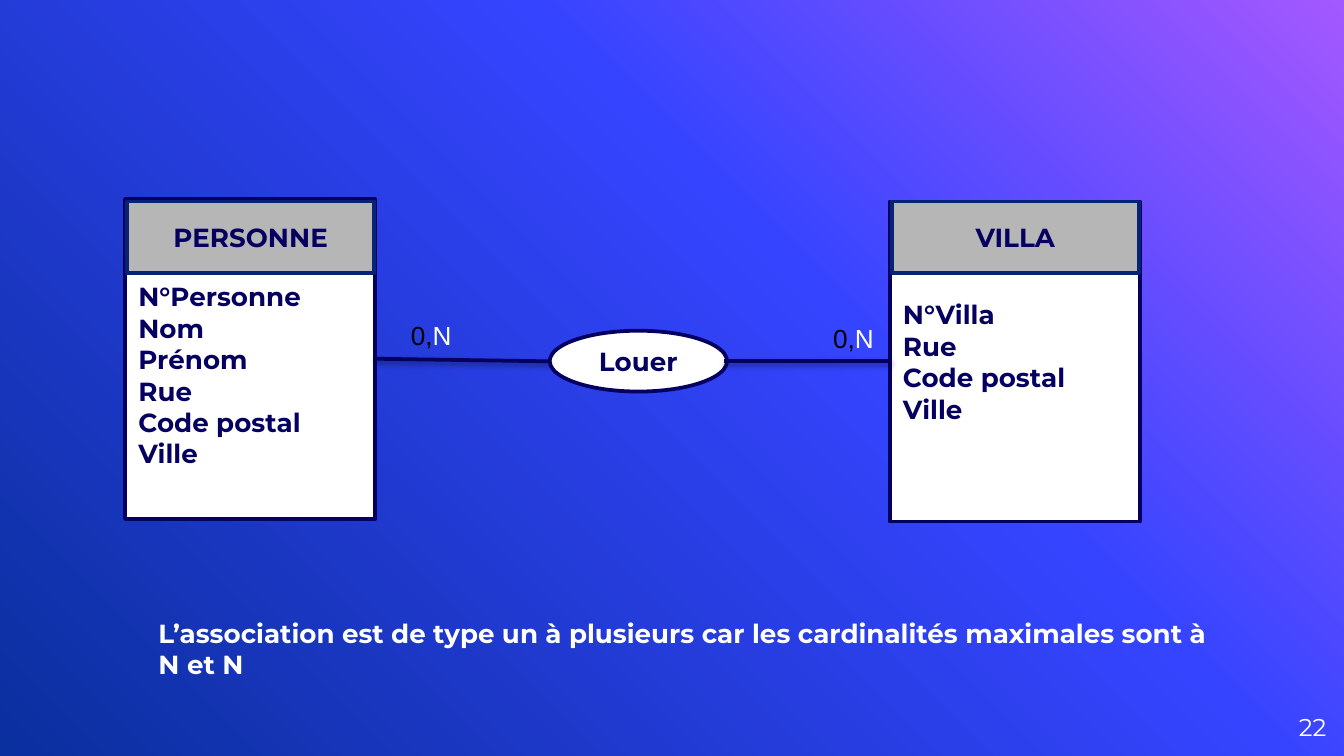
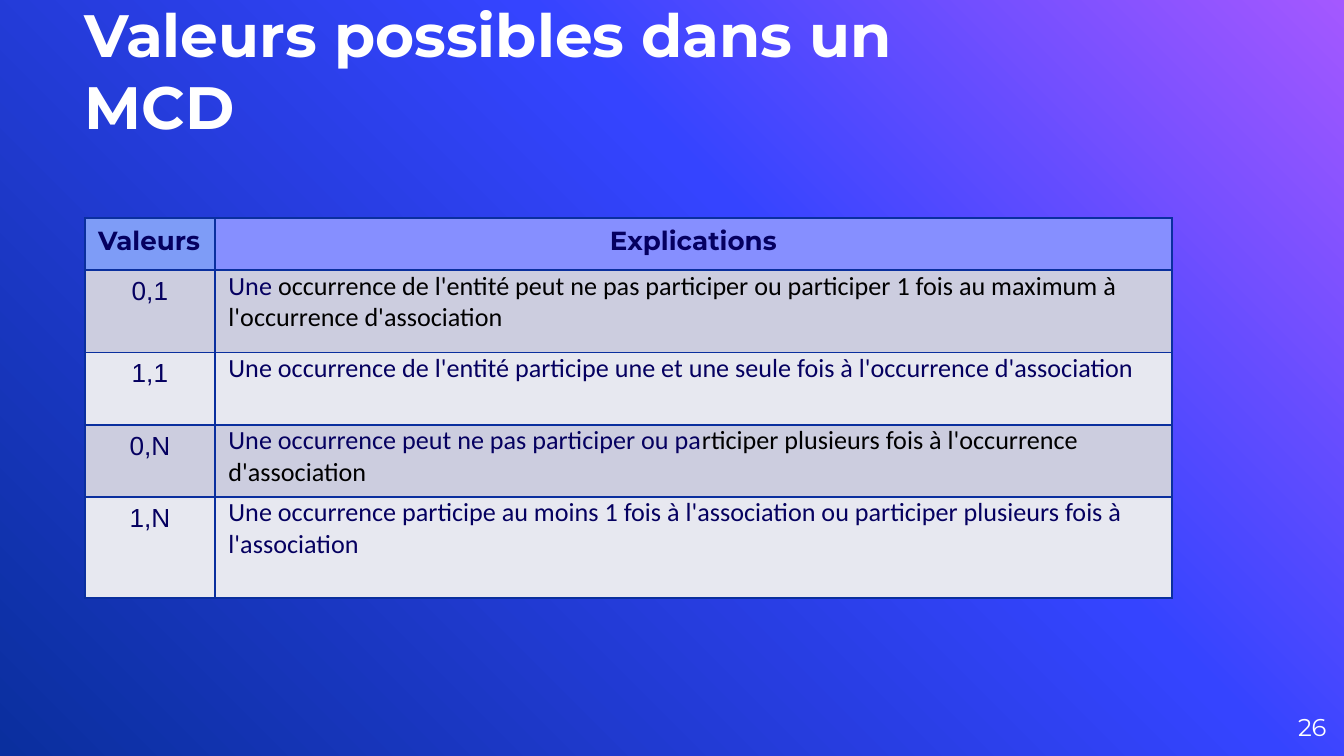
import copy

import pptx
import pptx.dml.color
import pptx.enum.shapes
import pptx.enum.text
import pptx.oxml
import pptx.oxml.ns
import pptx.util

Pt = pptx.util.Pt
qn = pptx.oxml.ns.qn
ALIGN = pptx.enum.text.PP_ALIGN
ANCHOR = pptx.enum.text.MSO_ANCHOR
SHAPE = pptx.enum.shapes.MSO_SHAPE

COLORS = {
    "purple": "A458FF",
    "blue": "3544FF",
    "deep": "0A2F9E",
    "navy": "050060",
    "header_line": "072375",
    "gray": "B6B6B6",
    "white": "FFFFFF",
    "black": "000000",
    "values_head": "7E9CF7",
    "notes_head": "868FFF",
    "band_dark": "CCCDDF",
    "band_light": "E7E8F0",
}
FONT = "Montserrat"
GRADIENT = [("purple", 0), ("blue", 0.39), ("deep", 1)]
ROW_HEIGHTS = [28, 44, 38.8, 38.8, 54]
VALUES = [
    ("0,1", [("Une ", "navy"),
             ("occurrence de l'entité peut ne pas participer ou participer "
              "1 fois au maximum à l'occurrence d'association", "black")]),
    ("1,1", "Une occurrence de l'entité participe une et une seule fois "
            "à l'occurrence d'association"),
    ("0,N", [("Une occurrence peut ne pas participer ou pa", "navy"),
             ("rticiper plusieurs fois à l'occurrence d'association", "black")]),
    ("1,N", "Une occurrence participe au moins 1 fois à l'association "
            "ou participer plusieurs fois à l'association"),
]


def rgb(name):
    return pptx.dml.color.RGBColor.from_string(COLORS[name])


def write(tf, text, size=14, font=FONT, color="navy", bold=False,
          align=ALIGN.LEFT, before=0):
    lines = text.split("\n") if isinstance(text, str) else [text]
    for i, line in enumerate(lines):
        p = tf.paragraphs[0] if i == 0 else tf.add_paragraph()
        p.alignment = align
        p.space_before = Pt(before)
        runs = [(line, color)] if isinstance(line, str) else line
        for words, run_color in runs:
            r = p.add_run()
            r.text = words
            r.font.size = Pt(size)
            r.font.name = font
            r.font.bold = bold
            r.font.color.rgb = rgb(run_color)


def set_margins(target, left, top, right, bottom):
    target.margin_left, target.margin_top = Pt(left), Pt(top)
    target.margin_right, target.margin_bottom = Pt(right), Pt(bottom)


def set_background(prs):
    master = prs.slide_master
    fill = master.background.fill
    fill.gradient()
    fill.gradient_angle = 225
    stops = next(master.element.iter(qn("a:gsLst")))
    stops.append(copy.deepcopy(stops[0]))
    for stop, (color, position) in zip(fill.gradient_stops, GRADIENT):
        stop.color.rgb = rgb(color)
        stop.position = position


def add_text(s, x, y, w, h, text, wrap=True, **fmt):
    sp = s.shapes.add_textbox(Pt(x), Pt(y), Pt(w), Pt(h))
    sp.text_frame.word_wrap = wrap
    write(sp.text_frame, text, **fmt)
    return sp.text_frame


def add_page_number(s, number):
    tf = add_text(s, 667.4, 373.7, 43.2, 31, str(number), size=13,
                  color="white", align=ALIGN.RIGHT)
    tf.vertical_anchor = ANCHOR.MIDDLE
    set_margins(tf, 0, 0, 0, 0)


def add_box(s, kind, x, y, w, h, text, fill="white", line="navy",
            align=ALIGN.CENTER, top=3.6):
    sp = s.shapes.add_shape(kind, Pt(x), Pt(y), Pt(w), Pt(h))
    sp.shadow.inherit = False
    sp.fill.solid()
    sp.fill.fore_color.rgb = rgb(fill)
    sp.line.color.rgb = rgb(line)
    sp.line.width = Pt(2)
    tf = sp.text_frame
    tf.word_wrap = True
    tf.vertical_anchor = ANCHOR.MIDDLE
    set_margins(tf, 7.2, top, 7.2, 3.6)
    write(tf, text, bold=True, align=align)


def add_entity(s, x, y, name, fields, top=3.6):
    add_box(s, SHAPE.RECTANGLE, x, y, 134, 171.4, fields, align=ALIGN.LEFT, top=top)
    add_box(s, SHAPE.RECTANGLE, x + 1.1, 108, 132.5, 38.2, name,
            fill="gray", line="header_line")


def add_link(s, x1, y1, x2, y2):
    c = s.shapes.add_connector(pptx.enum.shapes.MSO_CONNECTOR.STRAIGHT,
                               Pt(x1), Pt(y1), Pt(x2), Pt(y2))
    c.line.color.rgb = rgb("navy")
    c.line.width = Pt(2)
    c.element.spPr.append(pptx.oxml.parse_xml(
        f'<a:effectLst {pptx.oxml.ns.nsdecls("a")}>'
        f'<a:outerShdw blurRad="{Pt(3.1)}" dist="{Pt(1.6)}" dir="5400000" rotWithShape="0">'
        f'<a:srgbClr val="{COLORS["black"]}"><a:alpha val="38000"/></a:srgbClr>'
        '</a:outerShdw></a:effectLst>'))


def add_cardinality(s, x, y):
    add_text(s, x, y, 36.7, 24.5, [("0,", "black"), ("N", "white")],
             wrap=False, font="Arial")


def add_title(s, text):
    sp = s.shapes.title
    sp.left, sp.top, sp.width, sp.height = Pt(45.4), Pt(28), Pt(494.6), Pt(47.6)
    tf = sp.text_frame
    tf.word_wrap = True
    tf.auto_size = pptx.enum.text.MSO_AUTO_SIZE.NONE
    tf.vertical_anchor = ANCHOR.BOTTOM
    set_margins(tf, 0, 0, 0, 0)
    write(tf, text, size=32, color="white", bold=True)


def fill_cell(cell, text, fill, **fmt):
    cell.fill.solid()
    cell.fill.fore_color.rgb = rgb(fill)
    write(cell.text_frame, text, **fmt)
    tc_pr = cell._tc.get_or_add_tcPr()
    for i, side in enumerate(("lnL", "lnR", "lnT", "lnB")):
        tc_pr.insert(i, pptx.oxml.parse_xml(
            f'<a:{side} {pptx.oxml.ns.nsdecls("a")} w="{Pt(1)}"><a:solidFill>'
            f'<a:srgbClr val="{COLORS["deep"]}"/></a:solidFill></a:{side}>'))


def add_values_table(s):
    table = s.shapes.add_table(len(ROW_HEIGHTS), 2, Pt(45.4), Pt(116.8),
                               Pt(582.4), Pt(sum(ROW_HEIGHTS))).table
    table.first_row = table.horz_banding = False
    for column, width in zip(table.columns, (69.8, 512.6)):
        column.width = Pt(width)
    for row, height in zip(table.rows, ROW_HEIGHTS):
        row.height = Pt(height)
    fill_cell(table.cell(0, 0), "Valeurs", "values_head", bold=True)
    fill_cell(table.cell(0, 1), "Explications", "notes_head", bold=True,
              align=ALIGN.CENTER)
    for i, (value, note) in enumerate(VALUES, start=1):
        band = "band_dark" if i % 2 else "band_light"
        fill_cell(table.cell(i, 0), value, band, font="Arial", align=ALIGN.CENTER)
        cell = table.cell(i, 1)
        set_margins(cell, 7.2, 0, 0, 0)
        fill_cell(cell, note, band, font="Calibri", before=3)


def build_rental_slide(prs):
    s = prs.slides.add_slide(prs.slide_layouts[6])
    add_page_number(s, 22)
    add_entity(s, 67, 106.6, "PERSONNE",
               "N°Personne\nNom\nPrénom\nRue\nCode postal\nVille", top=20.6)
    add_entity(s, 476.6, 108, "VILLA", "N°Villa\nRue\nCode postal\nVille")
    add_box(s, SHAPE.OVAL, 294.5, 177.2, 95, 32.6, "Louer")
    add_link(s, 201, 192.2, 294.5, 193.6)
    add_link(s, 388, 193.6, 478, 193.6)
    add_cardinality(s, 213, 167.8)
    add_cardinality(s, 439.2, 169.2)
    add_text(s, 77.8, 327, 589.7, 24.5,
             "L’association est de type un à plusieurs car les cardinalités "
             "maximales sont à N et N", color="white", bold=True)


def build_values_slide(prs):
    s = prs.slides.add_slide(prs.slide_layouts[5])
    add_title(s, "Valeurs possibles dans un MCD")
    add_page_number(s, 26)
    add_values_table(s)


def main():
    prs = pptx.Presentation()
    prs.slide_width, prs.slide_height = Pt(720), Pt(405)
    set_background(prs)
    build_rental_slide(prs)
    build_values_slide(prs)
    prs.save("out.pptx")


if __name__ == "__main__":
    main()
